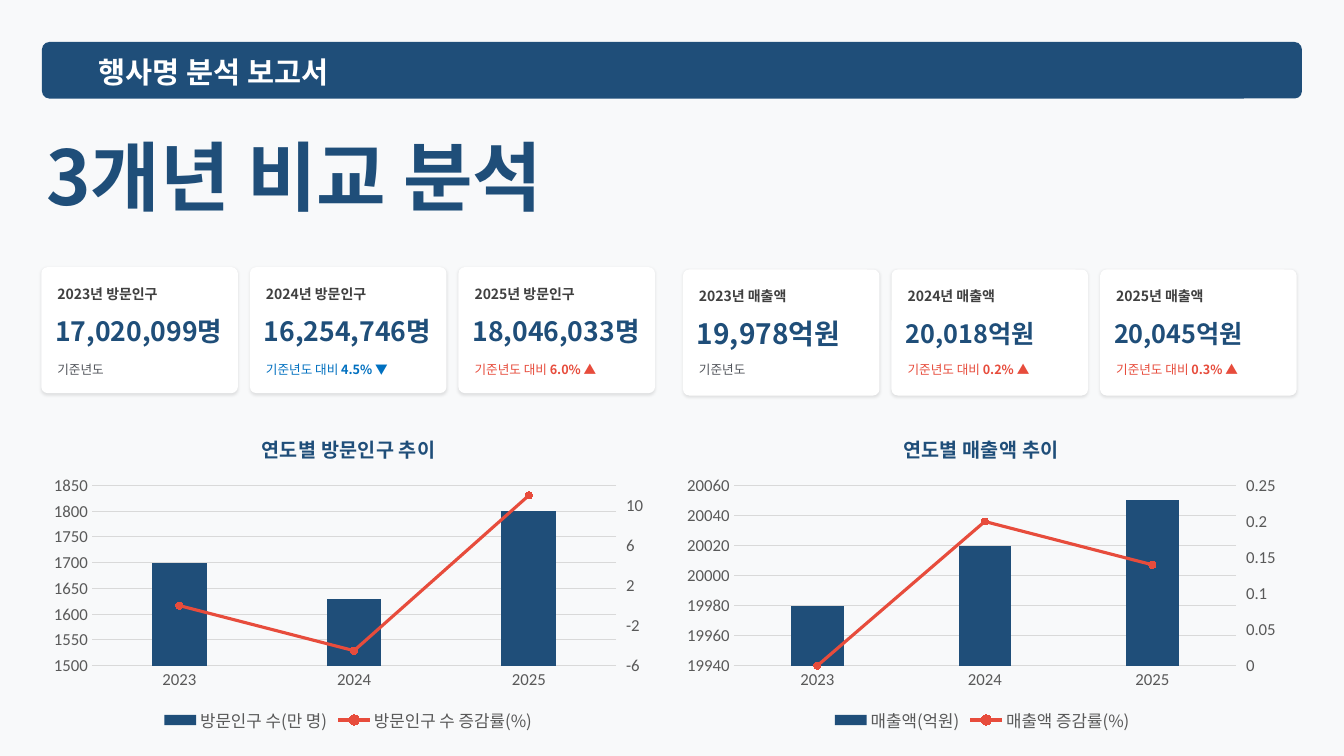
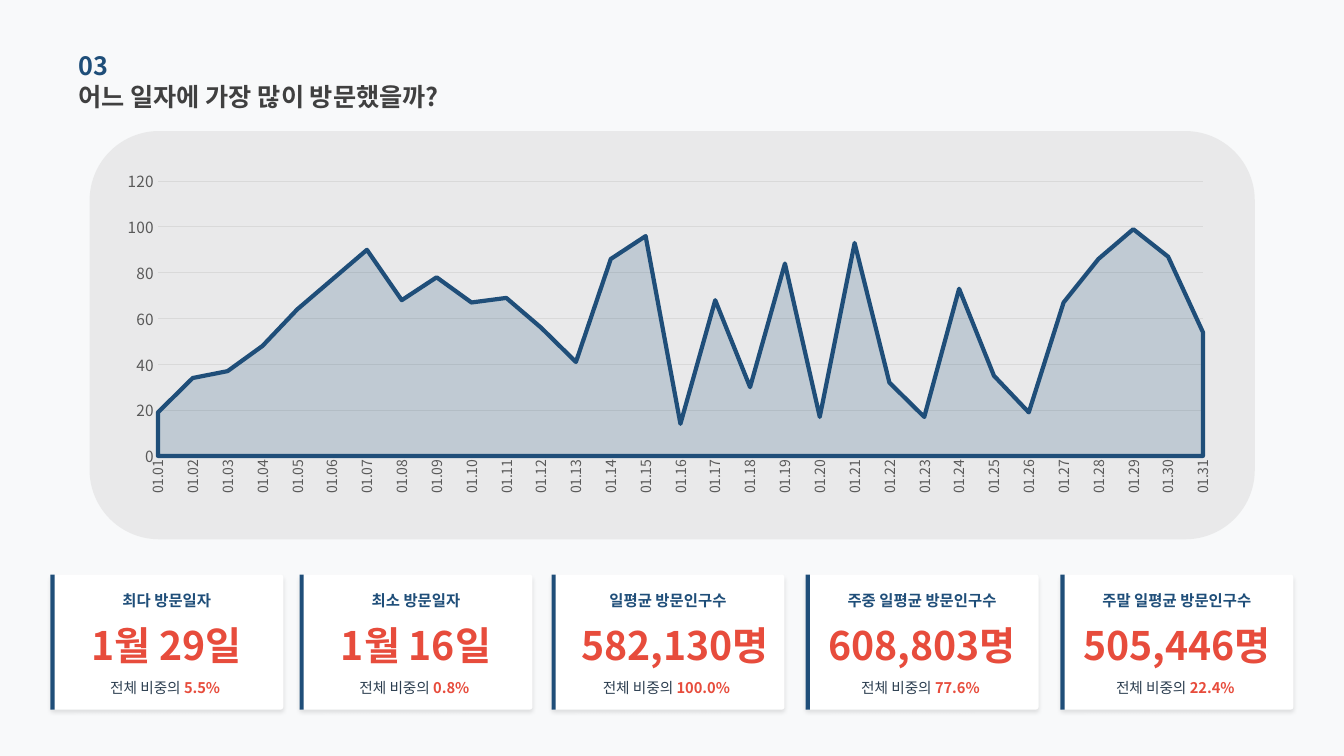
from lxml import etree
from pptx import Presentation
from pptx.chart.data import CategoryChartData
from pptx.dml.color import RGBColor
from pptx.enum.chart import XL_CHART_TYPE as ChartType
from pptx.enum.chart import XL_LEGEND_POSITION as LegendPosition
from pptx.enum.chart import XL_MARKER_STYLE as MarkerStyle
from pptx.enum.chart import XL_TICK_MARK as TickMark
from pptx.enum.shapes import MSO_SHAPE as ShapeType
from pptx.enum.text import MSO_ANCHOR as Anchor
from pptx.enum.text import PP_ALIGN as Align
from pptx.oxml import parse_xml
from pptx.oxml.ns import nsdecls, qn
from pptx.util import Pt

KOREAN, LATIN = "Noto Sans CJK KR", "Calibri"
NAVY, RED, BLUE, WHITE = "1F4E79", "E74C3C", "0070C0", "FFFFFF"
DARK, GRAY, SLATE = "404040", "51545A", "2C3E50"
AXIS_TEXT, GRID, PANEL, BACKGROUND = "595959", "D9D9D9", "D0CECE", "F8F9FA"

# label, label width, value, value size, note, change, note colour
VISITOR_CARDS = [
    ("2023년 방문인구", 81, "17,020,099명", 19, "기준년도", "", GRAY),
    ("2024년 방문인구", 81, "16,254,746명", 19, "기준년도 대비 ", "4.5% ▼", BLUE),
    ("2025년 방문인구", 72, "18,046,033명", 19, "기준년도 대비 ", "6.0% ▲", RED),
]
SALES_CARDS = [
    ("2023년 매출액", 81, "19,978억원", 20, "기준년도", "", GRAY),
    ("2024년 매출액", 81, "20,018억원", 18, "기준년도 대비 ", "0.2% ▲", RED),
    ("2025년 매출액", 81, "20,045억원", 18, "기준년도 대비 ", "0.3% ▲", RED),
]
CARD_GROUPS = [(29.5, 190.8, VISITOR_CARDS), (487.8, 192.5, SALES_CARDS)]
CARD_WIDTH, CARD_HEIGHT, CARD_PITCH = 140.4, 90, 149

YEARS = ["2023", "2024", "2025"]
# plot and title positions are measured from the chart's corner
TREND_CHARTS = [
    {
        "left": 29.5, "title": "연도별 방문인구 추이", "title_left": 154.9,
        "plot": (36.2, 48.8, 374.5, 128.8),
        "bars": ("방문인구 수(만 명)", [1700, 1630, 1800], (1500, 1850, 50)),
        "line": ("방문인구 수 증감률(%)", [0, -4.5, 11], (-6, 12, 2)),
    },
    {
        "left": 482.4, "title": "연도별 매출액 추이", "title_left": 160.2,
        "plot": (41.6, 48.8, 359, 128.8),
        "bars": ("매출액(억원)", [19980, 20020, 20050], (19940, 20060, 20)),
        "line": ("매출액 증감률(%)", [0, 0.2, 0.14], (0, 0.25, 0.05)),
    },
]
TREND_TOP, TREND_SIZE = 298, (438.5, 228.2)

DAILY_VISITS = [19, 34, 37, 48, 64, 77, 90, 68, 78, 67, 69, 56, 41, 86, 96, 14,
                68, 30, 84, 17, 93, 32, 17, 73, 35, 19, 67, 86, 99, 87, 54]
# left, label, value, value shift, share
DAY_CARDS = [
    (36, "최다 방문일자", "1월 29일", 0, "5.5% "),
    (214, "최소 방문일자", "1월 16일", 0, "0.8% "),
    (394, "일평균 방문인구수", "582,130명", 5, "100.0% "),
    (575.5, "주중 일평균 방문인구수", "608,803명", 0, "77.6% "),
    (757.5, "주말 일평균 방문인구수", "505,446명", 0, "22.4% "),
]
DAY_TOP, DAY_WIDTH, DAY_HEIGHT = 410.4, 166.4, 96.5


def rgb(value):
    return RGBColor.from_string(value)


def style_font(font, size, color, bold=False, name=KOREAN):
    """Set the format, with the typeface for both Latin and Korean letters."""
    font.size, font.bold, font.name = Pt(size), bold, name
    font.color.rgb = rgb(color)
    etree.SubElement(font._rPr, qn("a:ea")).set("typeface", name)


def set_alpha(fill, percent):
    color = fill._xPr.find(qn("a:solidFill"))[0]
    etree.SubElement(color, qn("a:alpha")).set("val", str(percent * 1000))


def add_text(slide, box, *parts, size=10, color=NAVY, bold=True, align=Align.LEFT):
    """Each part is a text, or a (text, format changes) pair."""
    frame = slide.shapes.add_textbox(*map(Pt, box)).text_frame
    frame.word_wrap = True
    frame.vertical_anchor = Anchor.MIDDLE
    frame.margin_left = frame.margin_top = frame.margin_right = frame.margin_bottom = 0
    paragraph = frame.paragraphs[0]
    paragraph.alignment = align
    for part in parts:
        text, changes = (part, {}) if isinstance(part, str) else part
        run = paragraph.add_run()
        run.text = text
        style_font(run.font, **{"size": size, "color": color, "bold": bold, **changes})
        run.font._rPr.set("kern", "0")


def add_panel(slide, box, color, corner=None, shadow=None):
    """Draw a box; corner rounds it, shadow is (blur, distance)."""
    kind = ShapeType.RECTANGLE if corner is None else ShapeType.ROUNDED_RECTANGLE
    shape = slide.shapes.add_shape(kind, *map(Pt, box))
    shape.shadow.inherit = False
    shape.fill.solid()
    shape.fill.fore_color.rgb = rgb(color)
    shape.line.fill.background()
    if corner is not None:
        shape.adjustments[0] = corner
    if shadow:
        blur, distance = map(Pt, shadow)
        shape._element.spPr.find(qn("a:effectLst")).append(parse_xml(
            f'<a:outerShdw {nsdecls("a")} blurRad="{blur}" dist="{distance}" dir="5400000">'
            '<a:srgbClr val="000000"><a:alpha val="10000"/></a:srgbClr></a:outerShdw>'))
    return shape


def set_layout(parent, position, chart_size, place):
    """Place a chart part; place is (left, top) or (left, top, width, height)."""
    for old in parent.findall(qn("c:layout")):
        parent.remove(old)
    target = '<c:layoutTarget val="inner"/>' if len(place) == 4 else ""
    modes = "".join(f'<c:{key}Mode val="edge"/>' for key in "xy")
    values = "".join(f'<c:{key} val="{length / whole}"/>'
                     for key, length, whole in zip("xywh", place, chart_size * 2))
    parent.insert(position, parse_xml(
        f'<c:layout {nsdecls("c")}><c:manualLayout>{target}{modes}{values}'
        '</c:manualLayout></c:layout>'))


def add_chart(slide, kind, box, categories, series, plot, scale, font, sizes):
    """Add a chart with styled axes; sizes are for category and value labels."""
    data = CategoryChartData()
    data.categories = categories
    for name, values in series:
        data.add_series(name, values)
    chart = slide.shapes.add_chart(kind, *map(Pt, box), data).chart
    chart.has_legend = chart.has_title = False
    style_font(chart.font, 10, "000000", name=font)
    chart.plots[0].vary_by_categories = False
    for axis, size in zip((chart.category_axis, chart.value_axis), sizes):
        axis.major_tick_mark = axis.minor_tick_mark = TickMark.NONE
        style_font(axis.tick_labels.font, size, AXIS_TEXT, name=font)
    chart.category_axis.format.line.color.rgb = rgb(GRID)
    chart.category_axis.format.line.width = Pt(0.75)
    axis = chart.value_axis
    axis.minimum_scale, axis.maximum_scale, axis.major_unit = scale
    axis.format.line.fill.background()
    axis.has_major_gridlines = True
    axis.major_gridlines.format.line.color.rgb = rgb(GRID)
    axis.major_gridlines.format.line.width = Pt(0.75)
    set_layout(chart._chartSpace.chart.plotArea, 0, box[2:], plot)
    return chart


def move_to_line(chart, scale):
    """Turn the second series into a line on an axis at the right."""
    low, high, unit = scale
    plot_area = chart._chartSpace.chart.plotArea
    bars = plot_area.find(qn("c:barChart"))
    series = bars.findall(qn("c:ser"))[1]
    for old in series.findall(qn("c:invertIfNegative")):
        series.remove(old)
    lines = parse_xml(
        f'<c:lineChart {nsdecls("c")}><c:grouping val="standard"/><c:varyColors val="0"/>'
        '<c:marker val="1"/><c:axId val="5001"/><c:axId val="5002"/></c:lineChart>')
    lines.insert(2, series)
    bars.addnext(lines)
    value_axis = parse_xml(
        f'<c:valAx {nsdecls("c", "a")}><c:axId val="5002"/><c:scaling>'
        f'<c:orientation val="minMax"/><c:max val="{high}"/><c:min val="{low}"/></c:scaling>'
        '<c:delete val="0"/><c:axPos val="r"/><c:numFmt formatCode="General" sourceLinked="0"/>'
        '<c:majorTickMark val="out"/><c:minorTickMark val="none"/><c:tickLblPos val="nextTo"/>'
        '<c:spPr><a:ln><a:noFill/></a:ln></c:spPr><c:txPr><a:bodyPr/><a:p><a:pPr>'
        f'<a:defRPr sz="1200"><a:solidFill><a:srgbClr val="{AXIS_TEXT}"/></a:solidFill>'
        f'<a:latin typeface="{LATIN}"/></a:defRPr></a:pPr><a:endParaRPr lang="ko-KR"/></a:p>'
        '</c:txPr><c:crossAx val="5001"/><c:crosses val="max"/>'
        f'<c:crossBetween val="between"/><c:majorUnit val="{unit}"/></c:valAx>')
    category_axis = parse_xml(
        f'<c:catAx {nsdecls("c")}><c:axId val="5001"/><c:scaling>'
        '<c:orientation val="minMax"/></c:scaling><c:delete val="1"/><c:axPos val="b"/>'
        '<c:majorTickMark val="none"/><c:minorTickMark val="none"/><c:tickLblPos val="nextTo"/>'
        '<c:crossAx val="5002"/><c:crosses val="autoZero"/></c:catAx>')
    plot_area.find(qn("c:valAx")).addnext(value_axis)
    value_axis.addnext(category_axis)


def add_trend_chart(slide, trend):
    bar_name, bar_values, bar_scale = trend["bars"]
    line_name, line_values, line_scale = trend["line"]
    chart = add_chart(
        slide, ChartType.COLUMN_CLUSTERED, (trend["left"], TREND_TOP, *TREND_SIZE), YEARS,
        [(bar_name, bar_values), (line_name, line_values)],
        trend["plot"], bar_scale, LATIN, (12, 12))
    move_to_line(chart, line_scale)
    bar_plot, line_plot = chart.plots
    bar_plot.gap_width = 219
    fill = bar_plot.series[0].format.fill
    fill.solid()
    fill.fore_color.rgb = rgb(NAVY)
    line = line_plot.series[0]
    line.smooth = False
    line.format.line.color.rgb = rgb(RED)
    line.format.line.width = Pt(2.25)
    line.marker.style, line.marker.size = MarkerStyle.CIRCLE, 5
    line.marker.format.fill.solid()
    line.marker.format.fill.fore_color.rgb = rgb(RED)
    line.marker.format.line.color.rgb = rgb(RED)
    chart.has_title = True
    run = chart.chart_title.text_frame.paragraphs[0].add_run()
    run.text = trend["title"]
    style_font(run.font, 14, NAVY, bold=True)
    set_layout(chart.chart_title._element, 1, TREND_SIZE, (trend["title_left"], 8.3))
    chart.has_legend = True
    chart.legend.position = LegendPosition.BOTTOM
    chart.legend.include_in_layout = False
    style_font(chart.legend.font, 12, AXIS_TEXT)


def add_year_card(slide, left, top, card):
    label, label_width, value, value_size, note, change, note_color = card
    add_panel(slide, (left, top, CARD_WIDTH, CARD_HEIGHT), WHITE, 0.05, (2, 1))
    add_text(slide, (left + 11.5, top + 12.4, label_width, 13), label, color=DARK)
    add_text(slide, (left + 10, top + 35.2, CARD_WIDTH, 21), value, size=value_size)
    changes = [(change, {"bold": True})] if change else []
    add_text(slide, (left + 11.5, 256.5, 125, 15), note, *changes,
             size=9, color=note_color, bold=False)


def add_day_card(slide, left, label, value, shift, share):
    add_panel(slide, (left, DAY_TOP, DAY_WIDTH, DAY_HEIGHT), WHITE, 0.02, (3, 2))
    add_panel(slide, (left, DAY_TOP, 3, DAY_HEIGHT), NAVY)
    add_text(slide, (left, DAY_TOP + 10.3, DAY_WIDTH, 16), label, size=11, align=Align.CENTER)
    add_text(slide, (left + shift, DAY_TOP + 36.4, DAY_WIDTH, 27.4), value,
             size=28, color=RED, align=Align.CENTER)
    add_text(slide, (left, DAY_TOP + 73.4, DAY_WIDTH, 15), "전체 비중의 ",
             (share, {"color": RED, "bold": True}),
             size=10.5, color=SLATE, bold=False, align=Align.CENTER)


def add_slide(presentation):
    slide = presentation.slides.add_slide(presentation.slide_layouts[6])
    slide.background.fill.solid()
    slide.background.fill.fore_color.rgb = rgb(BACKGROUND)
    return slide


def build_comparison(slide):
    for group_left, top, cards in CARD_GROUPS:
        for index, card in enumerate(cards):
            add_year_card(slide, group_left + index * CARD_PITCH, top, card)
    add_panel(slide, (30, 30, 900, 40.4), NAVY, 0.13)
    add_text(slide, (70.5, 35.8, 400, 31), "행사명 분석 보고서", size=21, color=WHITE)
    add_text(slide, (33, 85.7, 455, 78.5), "3개년 비교 분석", size=54)
    for trend in TREND_CHARTS:
        add_trend_chart(slide, trend)


def build_daily(slide):
    panel = add_panel(slide, (64, 93.6, 832.3, 291.6), PANEL, 0.17)
    set_alpha(panel.fill, 36)
    add_text(slide, (56, 54, 325, 29.5), "어느 일자에 가장 많이 방문했을까?", size=18, color=DARK)
    add_text(slide, (56, 31.7, 325, 29.5), "03", size=18)
    for card in DAY_CARDS:
        add_day_card(slide, *card)
    days = [f"01.{day:02}" for day in range(1, len(DAILY_VISITS) + 1)]
    chart = add_chart(
        slide, ChartType.AREA, (77.8, 92.9, 801.4, 293.8), days, [("Series 1", DAILY_VISITS)],
        (35, 36.5, 746.5, 196.3), (0, 120, 20), KOREAN, (10, 11))
    area = chart.plots[0].series[0].format
    area.fill.solid()
    area.fill.fore_color.rgb = rgb(NAVY)
    set_alpha(area.fill, 20)
    area.line.color.rgb = rgb(NAVY)
    area.line.width = Pt(3)
    labels = chart.category_axis._element.find(qn("c:txPr")).find(qn("a:bodyPr"))
    labels.set("rot", "-5400000")
    labels.set("vert", "horz")
    chart.value_axis._element.find(qn("c:crossBetween")).set("val", "midCat")


def main():
    presentation = Presentation()
    presentation.slide_width, presentation.slide_height = Pt(960), Pt(540)
    build_comparison(add_slide(presentation))
    build_daily(add_slide(presentation))
    presentation.save("out.pptx")


if __name__ == "__main__":
    main()
